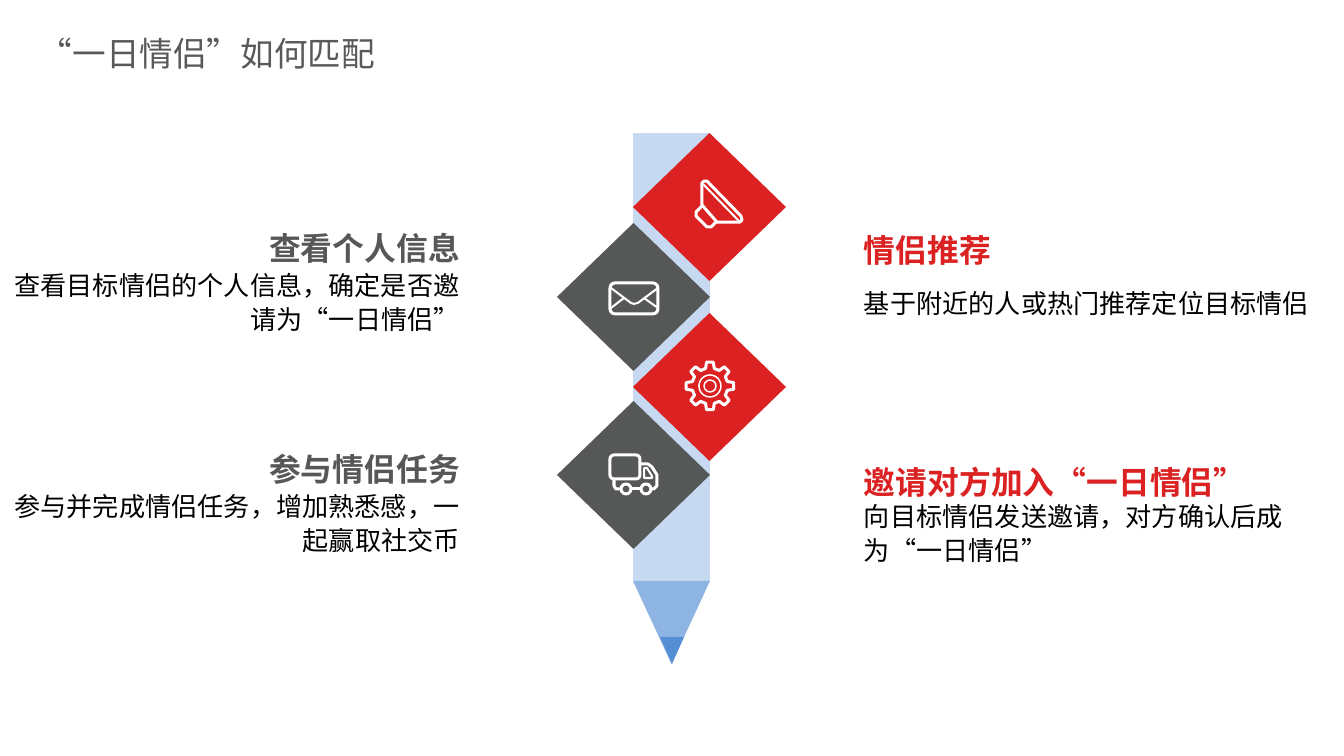
from math import cos, radians, sin

from lxml.etree import SubElement
from pptx import Presentation
from pptx.dml.color import RGBColor
from pptx.enum.lang import MSO_LANGUAGE_ID as Language
from pptx.enum.shapes import MSO_SHAPE as Shape
from pptx.enum.text import MSO_ANCHOR as Anchor, PP_ALIGN as Align
from pptx.oxml.ns import qn
from pptx.util import Pt

RED, GREY, BLACK, WHITE = "DB2121", "565757", "000000", "FFFFFF"
CJK_FONT = "Noto Sans CJK SC"

TITLE = "“一日情侣”如何匹配"
LEFT_STEPS = [  # top, heading, description
    (233, "查看个人信息", "查看目标情侣的个人信息，确定是否邀请为“一日情侣”"),
    (454, "参与情侣任务", "参与并完成情侣任务，增加熟悉感，一起赢取社交币"),
]
RIGHT_STEPS = [  # top, heading, description, line spacing
    (233, "情侣推荐", "基于附近的人或热门推荐定位目标情侣", 1.2),
    (465, "邀请对方加入“一日情侣”", "向目标情侣发送邀请，对方确认后成为“一日情侣”", 1.1),
]
LEFT_COLUMN, RIGHT_COLUMN, COLUMN_WIDTH = 8, 864, 452
HEADING_HEIGHT, DESCRIPTION_HEIGHT = 34, 71

PENCIL = [  # preset, box, colour, rotation
    (Shape.RECTANGLE, (633, 133, 77, 448), "C6D9F1", 0),
    (Shape.ISOSCELES_TRIANGLE, (633, 581, 77, 83), "8EB4E3", 180),
    (Shape.ISOSCELES_TRIANGLE, (660, 637, 24, 27), "558ED5", 180),
]
DIAMONDS = [(633, 133, RED), (557, 223, GREY), (633, 313, RED), (557, 401, GREY)]
DIAMOND_SIZE = (153, 148)

GEAR_CENTRE = (710, 386)
GEAR_TOOTH = [(-14, 18), (-8, 24), (8, 24), (14, 18)]  # degrees, radius
GEAR_TEETH = 8

ICON_PRESETS = [  # preset, box, stroke in px
    (Shape.ROUNDED_RECTANGLE, (610, 283, 48, 31), 3),  # envelope
    (Shape.ROUNDED_RECTANGLE, (610, 455, 30, 24), 3),  # truck cargo
    (Shape.OVAL, (621, 484, 10, 10), 3),  # truck wheels
    (Shape.OVAL, (641, 484, 10, 10), 3),
    (Shape.OVAL, (699, 375, 22, 22), 1.5),  # gear rings
    (Shape.OVAL, (704, 380, 12, 12), 1.5),
]
ICON_OUTLINES = [  # points, closed, stroke in px
    # envelope flap and folds
    ([(611, 288), (631, 303), (634, 304), (638, 303), (658, 288)], False, 2),
    ([(611, 308), (624, 298)], False, 2),
    ([(658, 308), (644, 298)], False, 2),
    # truck chassis, cab and window
    ([(614, 480), (614, 486), (616, 489), (620, 489)], False, 3),
    ([(631, 489), (641, 489)], False, 3),
    ([(640, 464), (648, 464), (652, 467), (657, 475), (657, 486),
      (654, 489), (651, 489)], False, 3),
    ([(644, 468), (647, 468), (652, 476), (652, 478), (644, 478)], True, 2),
    # speaker cone, front edge and magnet
    ([(702, 205), (702, 183), (704, 181), (707, 181), (741, 216), (742, 220),
      (740, 222), (717, 222)], True, 3),
    ([(703, 184), (739, 221)], False, 2),
    ([(702, 206), (696, 212), (696, 216), (707, 227), (711, 227), (717, 221)],
     False, 3),
]

EMU_PER_PX = 914400 / 134.4


def px(value):
    return round(value * EMU_PER_PX)


def color(hex_string):
    return RGBColor.from_string(hex_string)


def add_filled(slide, preset, box, fill, rotation=0):
    shape = slide.shapes.add_shape(preset, *map(px, box))
    shape.shadow.inherit = False
    shape.fill.solid()
    shape.fill.fore_color.rgb = color(fill)
    shape.line.fill.background()
    shape.rotation = rotation


def stroke_white(shape, width):
    shape.shadow.inherit = False
    shape.fill.background()
    shape.line.color.rgb = color(WHITE)
    shape.line.width = px(width)


def add_outline(slide, points, closed, width):
    start, *others = [(px(x), px(y)) for x, y in points]
    builder = slide.shapes.build_freeform(*start)
    builder.add_line_segments(others, close=closed)
    stroke_white(builder.convert_to_shape(), width)


def gear_points():
    center_x, center_y = GEAR_CENTRE
    points = []
    for tooth in range(GEAR_TEETH):
        for offset, radius in GEAR_TOOTH:
            angle = radians(tooth * 360 / GEAR_TEETH + offset)
            points.append((center_x + radius * cos(angle),
                           center_y + radius * sin(angle)))
    return points


def add_text(slide, box, text, size, fill, bold=False, font="Calibri",
             anchor=Anchor.MIDDLE, align=Align.LEFT, spacing=None):
    frame = slide.shapes.add_textbox(*map(px, box)).text_frame
    frame.margin_left = frame.margin_right = 0
    frame.margin_top = frame.margin_bottom = 0
    frame.word_wrap = True
    frame.vertical_anchor = anchor
    paragraph = frame.paragraphs[0]
    paragraph.alignment = align
    paragraph.line_spacing = spacing
    run = paragraph.add_run()
    run.text = text
    run.font.size = Pt(size)
    run.font.bold = bold
    run.font.name = font
    run.font.color.rgb = color(fill)
    run.font.language_id = Language.SIMPLIFIED_CHINESE
    east_asian = SubElement(run.font._element, qn("a:ea"))
    east_asian.set("typeface", CJK_FONT)


def main():
    presentation = Presentation()
    presentation.slide_width = px(1344)
    presentation.slide_height = px(756)
    slide = presentation.slides.add_slide(presentation.slide_layouts[6])

    for part in PENCIL:
        add_filled(slide, *part)
    for left, top, fill in DIAMONDS:
        add_filled(slide, Shape.DIAMOND, (left, top, *DIAMOND_SIZE), fill)
    for preset, box, width in ICON_PRESETS:
        stroke_white(slide.shapes.add_shape(preset, *map(px, box)), width)
    for points, closed, width in ICON_OUTLINES + [(gear_points(), True, 3)]:
        add_outline(slide, points, closed, width)

    add_text(slide, (39, 25, 391, 57), TITLE, 18, "595959", font=CJK_FONT)
    for top, heading, description in LEFT_STEPS:
        add_text(slide, (LEFT_COLUMN, top, COLUMN_WIDTH, HEADING_HEIGHT), heading,
                 17, GREY, bold=True, anchor=Anchor.BOTTOM, align=Align.RIGHT)
        add_text(slide, (LEFT_COLUMN, top + 33, COLUMN_WIDTH, DESCRIPTION_HEIGHT),
                 description, 14, BLACK, anchor=Anchor.TOP, align=Align.RIGHT,
                 spacing=1.1)
    for top, heading, description, spacing in RIGHT_STEPS:
        add_text(slide, (RIGHT_COLUMN, top, COLUMN_WIDTH, HEADING_HEIGHT), heading,
                 17, RED, bold=True)
        add_text(slide, (RIGHT_COLUMN, top + 31, COLUMN_WIDTH, DESCRIPTION_HEIGHT),
                 description, 14, BLACK, spacing=spacing)

    presentation.save("out.pptx")


if __name__ == "__main__":
    main()
